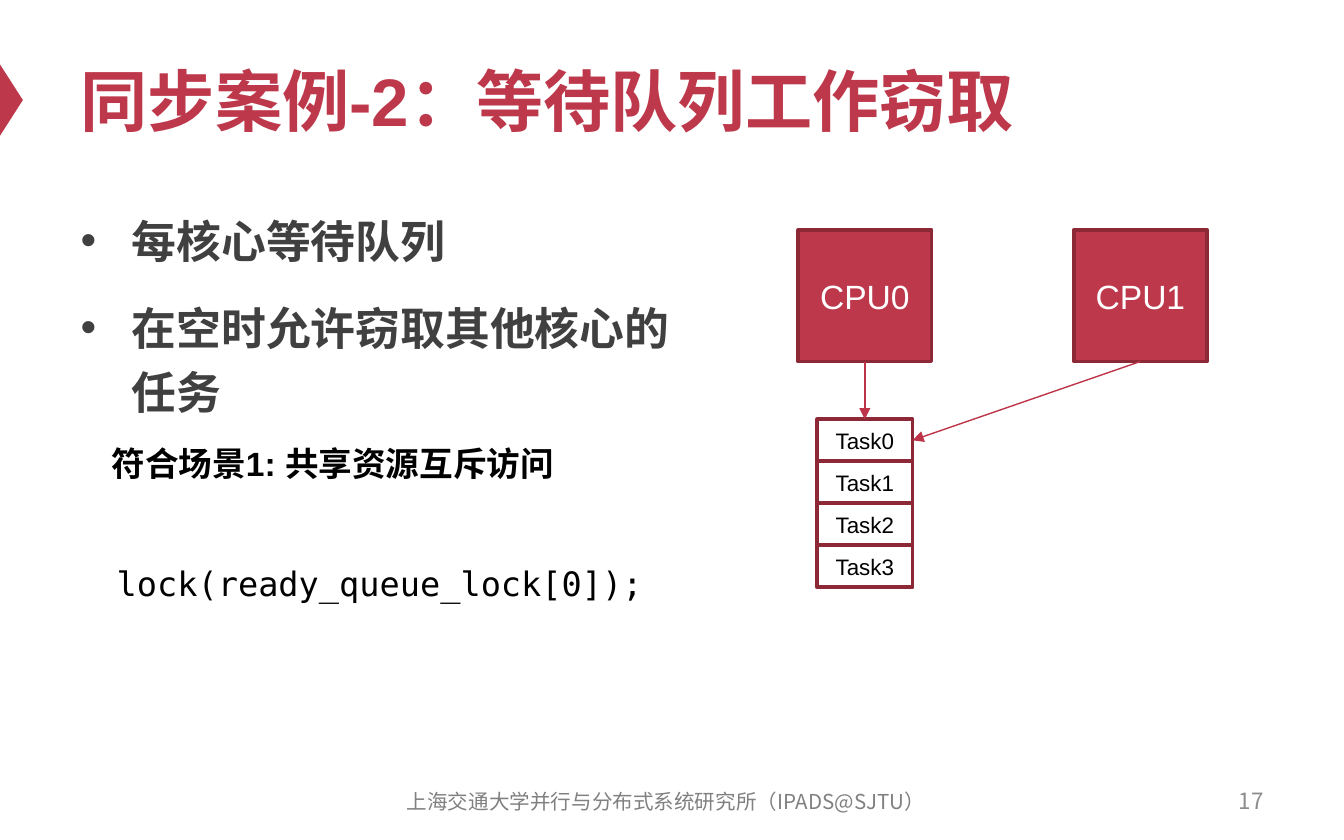
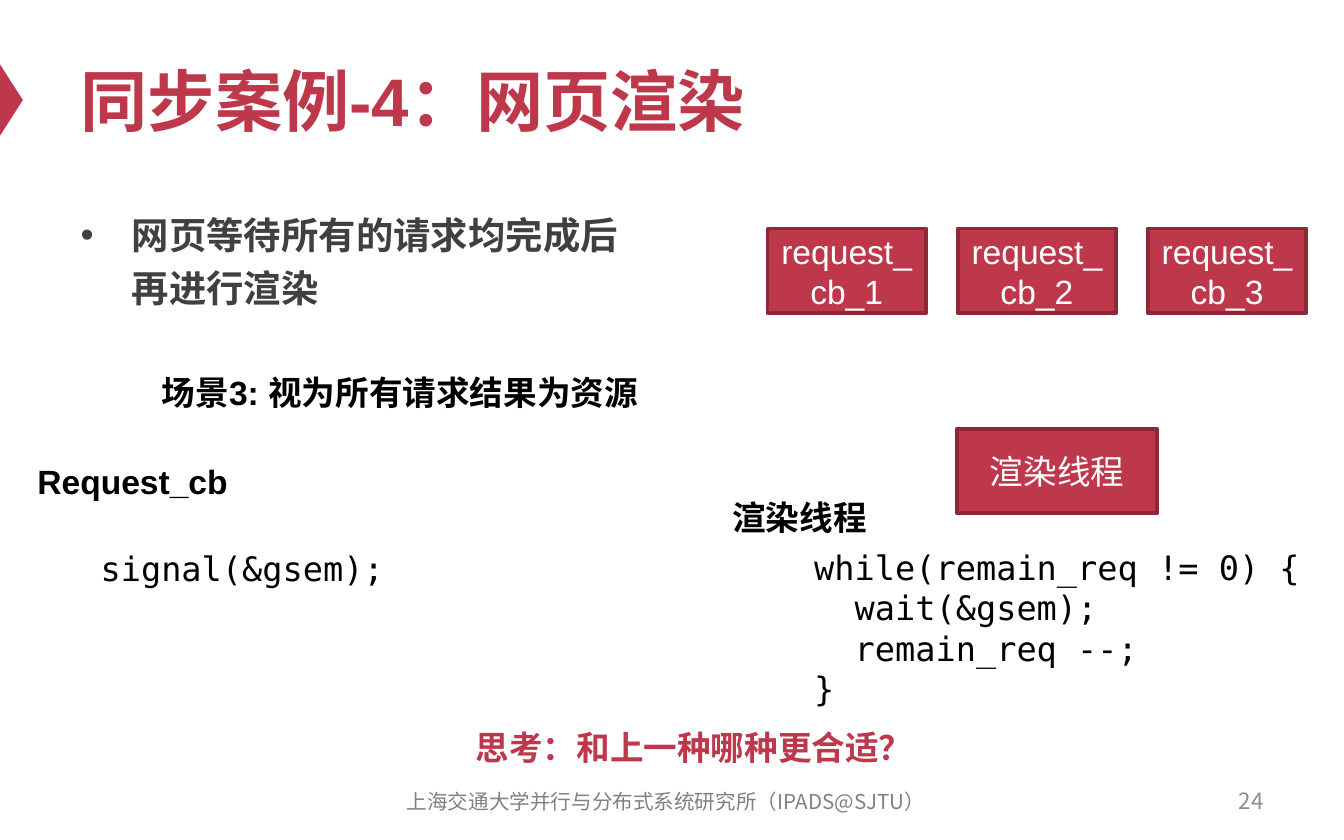
from lxml import etree
from pptx import Presentation
from pptx.dml.color import RGBColor
from pptx.enum.shapes import MSO_CONNECTOR as LINK, MSO_SHAPE as SHAPE
from pptx.enum.text import MSO_ANCHOR as ANCHOR, MSO_AUTO_SIZE as FIT, PP_ALIGN as ALIGN
from pptx.oxml.ns import qn
from pptx.util import Inches, Pt

COLORS = {
    "red": "BE384B", "edge": "8D2937", "arrow": "BD3347", "body": "404040",
    "foot": "808080", "page": "8C8C8C", "black": "000000", "white": "FFFFFF",
}
SANS, MONO, CJK = "Arial", "DejaVu Sans Mono", "Noto Sans CJK SC"
FOOTER = "上海交通大学并行与分布式系统研究所（IPADS@SJTU）"


def rgb(name):
    return RGBColor.from_string(COLORS[name])


def place(shape, left, top, width, height):
    shape.left, shape.top = Inches(left), Inches(top)
    shape.width, shape.height = Inches(width), Inches(height)


def style(frame, size, color, font=SANS, bold=False, align=ALIGN.LEFT):
    for para in frame.paragraphs:
        para.alignment = align
        for run in para.runs:
            face = run.font
            face.size, face.bold, face.name = Pt(size), bold, font
            face.color.rgb = rgb(color)
            east = etree.SubElement(run._r.get_or_add_rPr(), qn("a:ea"))
            east.set("typeface", CJK)


def add_text(slide, text, left, top, width, height=0.4, size=18, color="black",
             wrap=False, anchor=ANCHOR.TOP, **look):
    box = slide.shapes.add_textbox(*map(Inches, (left, top, width, height)))
    frame = box.text_frame
    frame.text = text
    frame.word_wrap = wrap
    frame.vertical_anchor = anchor
    style(frame, size, color, **look)


def add_label(slide, text, left, top, width, color="black"):
    """Add a bold, centred line that wraps inside its box."""
    add_text(slide, text, left, top, width, color=color, wrap=True,
             bold=True, align=ALIGN.CENTER)


def add_code(slide, text, left, top, width, height=0.4):
    add_text(slide, text, left, top, width, height, font=MONO)


def add_box(slide, text, left, top, width, height, size=18, color="white", fill="red"):
    box = slide.shapes.add_shape(SHAPE.RECTANGLE, *map(Inches, (left, top, width, height)))
    box.shadow.inherit = False
    if fill:
        box.fill.solid()
        box.fill.fore_color.rgb = rgb(fill)
    else:
        box.fill.background()
    box.line.color.rgb = rgb("edge")
    box.line.width = Pt(2)
    frame = box.text_frame
    frame.text = text
    frame.vertical_anchor = ANCHOR.MIDDLE
    style(frame, size, color, align=ALIGN.CENTER)
    return box


def add_arrow(slide, start, start_side, end, end_side):
    link = slide.shapes.add_connector(LINK.STRAIGHT, 0, 0, 0, 0)
    link.begin_connect(start, start_side)
    link.end_connect(end, end_side)
    link.line.color.rgb = rgb("arrow")
    link.line.width = Pt(0.75)
    etree.SubElement(link.line._get_or_add_ln(), qn("a:tailEnd")).set("type", "triangle")
    etree.SubElement(link._element.spPr, qn("a:effectLst"))


def add_list(slide, items, width, height, size):
    body = slide.placeholders[1]
    place(body, 0.5, 1.46, width, height)
    frame = body.text_frame
    frame.text = "\n".join(items)
    frame.auto_size = FIT.NONE
    for i, para in enumerate(frame.paragraphs):
        props = para._p.get_or_add_pPr()
        props.set("marL", str(Inches(0.38)))
        props.set("indent", str(-Inches(0.38)))
        para.line_spacing = 1.2
        para.space_before = Pt(12 if i else 0)
    style(frame, size, "body", bold=True)


def add_slide(deck, title, page):
    """Add a slide with the marker, title, page number and footer."""
    slide = deck.slides.add_slide(deck.slide_layouts[1])
    mark = slide.shapes.add_shape(SHAPE.ISOSCELES_TRIANGLE,
                                  *map(Inches, (-0.18, 0.66, 0.53, 0.17)))
    mark.rotation = 90
    mark.shadow.inherit = False
    mark.fill.solid()
    mark.fill.fore_color.rgb = rgb("red")
    mark.line.fill.background()

    head = slide.shapes.title
    place(head, 0.5, 0.25, 9, 0.98)
    frame = head.text_frame
    frame.text = title
    frame.auto_size = FIT.NONE
    frame.vertical_anchor = ANCHOR.MIDDLE
    style(frame, 36, "red", bold=True)

    add_text(slide, str(page), 7.17, 5.79, 2.33, 0.33, 12, "page", True,
             ANCHOR.MIDDLE, font=CJK, align=ALIGN.RIGHT)
    add_text(slide, FOOTER, 2.79, 5.8, 4.33, 0.33, 11, "foot", True,
             ANCHOR.MIDDLE, font=CJK, align=ALIGN.CENTER)
    return slide


def queue_slide(deck):
    slide = add_slide(deck, "同步案例-2：等待队列工作窃取", 17)
    add_list(slide, ["每核心等待队列", "在空时允许窃取其他核心的任务"], 4.81, 4.12, 24)
    cpus = [add_box(slide, f"CPU{i}", 5.94 + 2.05 * i, 1.71, 0.99, 0.98)
            for i in range(2)]
    step = 0.3125
    tasks = [add_box(slide, f"Task{i}", 6.08, 3.12 + step * i, 0.71, step,
                     12, "black", None) for i in range(4)]
    add_arrow(slide, cpus[1], 2, tasks[0], 3)
    add_arrow(slide, cpus[0], 2, tasks[0], 0)
    add_label(slide, "符合场景1: 共享资源互斥访问", 0.5, 3.25, 3.95)
    add_code(slide, "lock(ready_queue_lock[0]);", 0.77, 4.14, 4.27)


def render_slide(deck):
    slide = add_slide(deck, "同步案例-4：网页渲染", 24)
    add_list(slide, ["网页等待所有的请求均完成后\v再进行渲染"], 4.95, 1.17, 20)
    for i in range(3):
        add_box(slide, f"request_cb_{i + 1}", 5.71 + 1.415 * i, 1.7, 1.18, 0.63)
    add_box(slide, "渲染线程", 7.12, 3.19, 1.49, 0.63)
    add_label(slide, "场景3: 视为所有请求结果为资源", 0.85, 2.72, 4.25)
    loop = "while(remain_req != 0) {\n  wait(&gsem);\n  remain_req --;\n}"
    add_code(slide, loop, 5.96, 4.02, 3.82, 1.31)
    add_label(slide, "思考：和上一种哪种更合适？", 3.04, 5.36, 4.25, "red")
    add_text(slide, "渲染线程", 5.35, 3.65, 1.21, bold=True)
    add_text(slide, "Request_cb", 0.18, 3.38, 1.63, bold=True)
    add_code(slide, "signal(&gsem);", 0.65, 4.03, 2.31)


def main():
    deck = Presentation()
    deck.slide_width, deck.slide_height = Inches(10), Inches(6.25)
    queue_slide(deck)
    render_slide(deck)
    deck.save("out.pptx")


if __name__ == "__main__":
    main()
